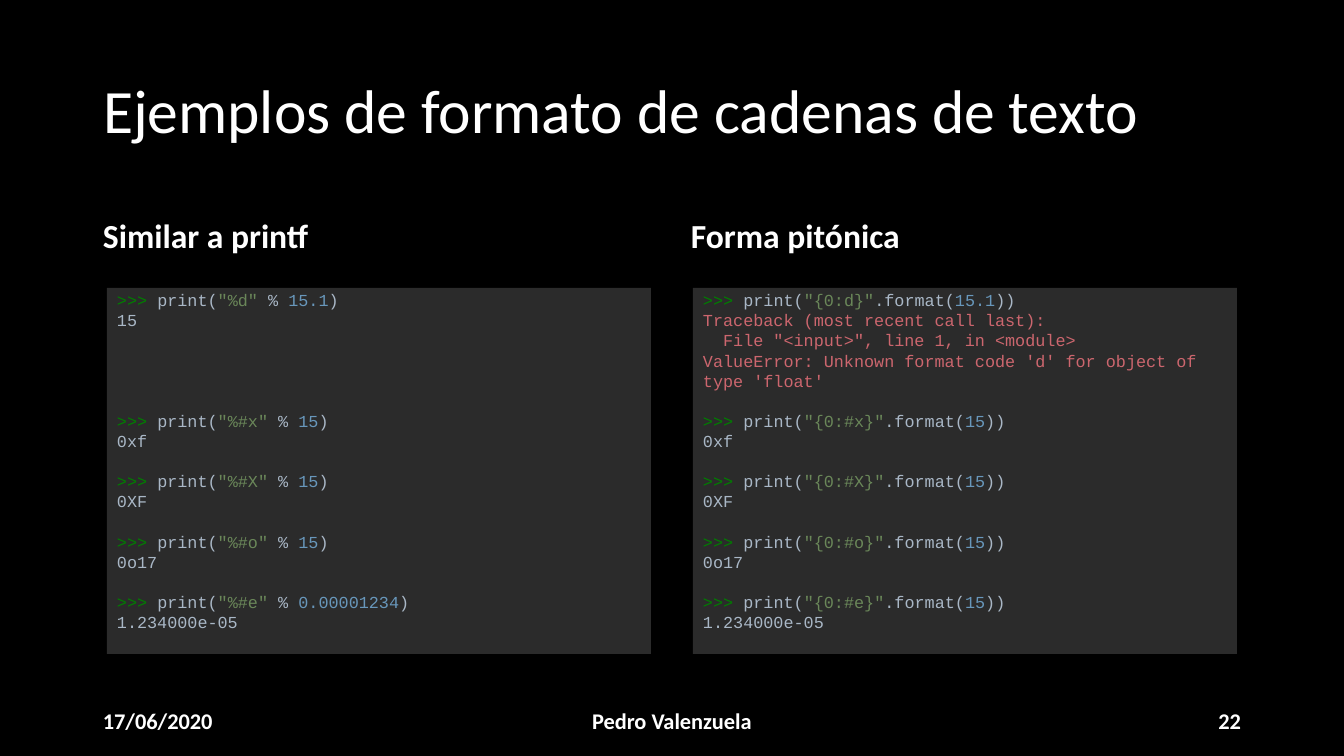
from lxml.etree import SubElement
from pptx import Presentation
from pptx.dml.color import RGBColor
from pptx.enum.shapes import MSO_SHAPE
from pptx.enum.text import MSO_ANCHOR as Anchor, PP_ALIGN as Align
from pptx.oxml.ns import qn
from pptx.util import Emu, Pt

EMU_PER_PX = 914400 / 100.8
WHITE, BLACK, PANEL = "FFFFFF", "000000", "2B2B2B"
PROMPT, CODE, STRING, NUMBER, ERROR = "007F00", "A9B7C6", "6A8759", "6897BB", "CC666E"
LINE_PITCH = 14.37


def px(length):
    """Turn whole pixels into EMU."""
    return Emu(round(length * EMU_PER_PX))


def colour(hex_code):
    """Turn a hex string into a colour."""
    return RGBColor.from_string(hex_code)


class Deck:
    """Holds the style and the current slide."""

    def __init__(self, width, height):
        """Start a one-slide deck on a black background."""
        self.presentation = Presentation()
        self.presentation.slide_width = px(width)
        self.presentation.slide_height = px(height)
        self.slide = self.presentation.slides.add_slide(self.presentation.slide_layouts[5])
        self.slide.background.fill.solid()
        self.slide.background.fill.fore_color.rgb = colour(BLACK)

    def style(self, run, size, hex_code, font="Calibri", bold=False):
        """Format one run."""
        run.font.size = Pt(size)
        run.font.name = font
        run.font.bold = bold
        run.font.color.rgb = colour(hex_code)

    def tint(self, shape, opacity):
        """Fill a shape with translucent black, opacity in percent."""
        shape.fill.solid()
        shape.fill.fore_color.rgb = colour(BLACK)
        shade = shape.fill._xPr.find(qn("a:solidFill"))[0]
        SubElement(shade, qn("a:alpha")).set("val", str(opacity * 1000))

    def fill_text(self, frame, text, size, align, anchor, bold=False):
        """Write one line of white text into a frame."""
        frame.word_wrap = True
        frame.vertical_anchor = anchor
        frame.text = text
        line = frame.paragraphs[0]
        line.alignment = align
        line.line_spacing = 0.9
        self.style(line.runs[0], size, WHITE, bold=bold)

    def title(self, text, left, top, width, height):
        """Place and format the title placeholder."""
        heading = self.slide.shapes.title
        heading.left, heading.top = px(left), px(top)
        heading.width, heading.height = px(width), px(height)
        self.tint(heading, 16)
        self.fill_text(heading.text_frame, text, 44, Align.LEFT, Anchor.MIDDLE)

    def label(self, text, left, top, width, height, size, align=Align.LEFT, anchor=Anchor.MIDDLE):
        """Add a bold label."""
        box = self.slide.shapes.add_textbox(px(left), px(top), px(width), px(height))
        self.tint(box, 34)
        self.fill_text(box.text_frame, text, size, align, anchor, bold=True)

    def console(self, steps, left, top, width, height):
        """Add a console panel from (call, output, blank lines before) steps."""
        panel = self.slide.shapes.add_shape(
            MSO_SHAPE.RECTANGLE, px(left), px(top), px(width), px(height))
        panel.shadow.inherit = False
        panel.fill.solid()
        panel.fill.fore_color.rgb = colour(PANEL)
        panel.line.fill.background()
        frame = panel.text_frame
        frame.word_wrap = True
        frame.vertical_anchor = Anchor.TOP
        frame.margin_left = frame.margin_right = px(10)
        frame.margin_top = px(2)
        line = frame.paragraphs[0]
        for call, output, gap in steps:
            for index, tokens in enumerate([call, *output]):
                if line.runs:
                    line = frame.add_paragraph()
                line.alignment = Align.LEFT
                line.line_spacing = Pt(LINE_PITCH)
                line.space_before = Pt(0 if index else gap * LINE_PITCH)
                for text, hex_code in tokens:
                    run = line.add_run()
                    run.text = text
                    self.style(run, 12, hex_code, font="Courier New")


def print_call(template, joint, value, closing):
    """Return the coloured tokens of one print call."""
    return [(">>> ", PROMPT), ("print(", CODE), (template, STRING),
            (joint, CODE), (value, NUMBER), (closing, CODE)]


def printf_call(code, value):
    """Return a call in the printf style."""
    return print_call(f'"%{code}" ', "% ", value, ")")


def format_call(code, value):
    """Return a call in the format-method style."""
    return print_call(f'"{{0:{code}}}"', ".format(", value, "))")


def steps_for(make_call, first_output, first_gap, last_value):
    """Return all steps of one console."""
    steps = [(make_call("d", "15.1"), first_output, 0)]
    examples = [("#x", "15", "0xf"), ("#X", "15", "0XF"),
                ("#o", "15", "0o17"), ("#e", last_value, "1.234000e-05")]
    for index, (code, value, result) in enumerate(examples):
        gap = 1 if index else first_gap
        steps.append((make_call(code, value), [[(result, CODE)]], gap))
    return steps


def main():
    """Build and save the slide."""
    deck = Deck(1344, 756)
    deck.title("Ejemplos de formato de cadenas de texto", 93, 41, 1159, 146)

    traceback = ["Traceback (most recent call last):",
                 '  File "<input>", line 1, in <module>',
                 "ValueError: Unknown format code 'd' for object of type 'float'"]
    printf_steps = steps_for(printf_call, [[("15", CODE)]], 4, "0.00001234")
    format_steps = steps_for(format_call, [[(text, ERROR)] for text in traceback], 1, "15")
    columns = [("Similar a printf", 93, 107, printf_steps),
               ("Forma pitónica", 681, 693, format_steps)]
    for heading, heading_left, console_left, steps in columns:
        deck.label(heading, heading_left, 213, 570, 48, 24, anchor=Anchor.BOTTOM)
        deck.console(steps, console_left, 288, 544, 366)

    footer = [("17/06/2020", 93, 302, Align.LEFT),
              ("Pedro Valenzuela", 445, 454, Align.CENTER),
              ("22", 949, 302, Align.RIGHT)]
    for text, left, width, align in footer:
        deck.label(text, left, 702, width, 40, 16, align)

    deck.presentation.save("out.pptx")


if __name__ == "__main__":
    main()
